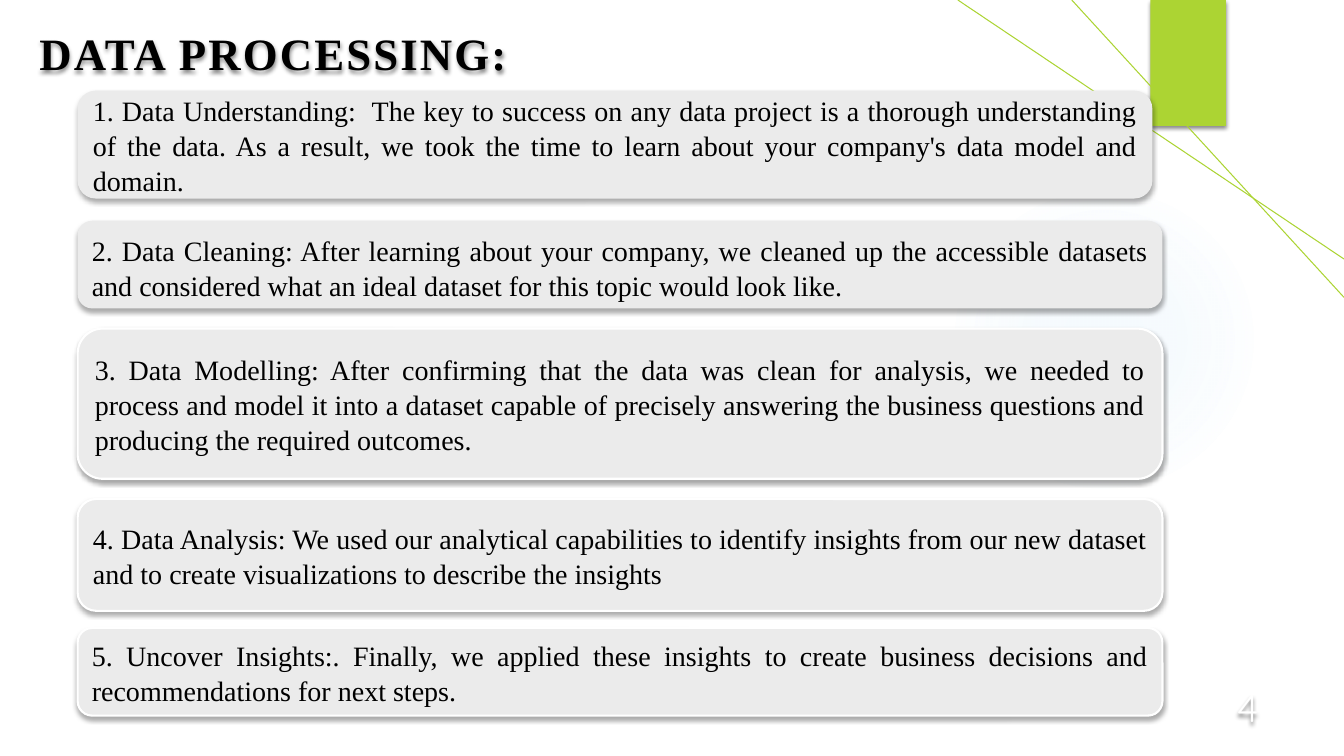
"""Build the data processing slide."""
from dataclasses import dataclass

from lxml import etree
from pptx import Presentation
from pptx import util as u
from pptx.dml.color import RGBColor
from pptx.enum import shapes, text
from pptx.oxml import parse_xml
from pptx.oxml.ns import nsdecls, qn

PX = 9144
GREEN, GREY, WHITE, BLACK, GLOW = "ACD433", "EBEBEB", "FFFFFF", "000000", "7AC4F0"
SERIF = "Times New Roman"


@dataclass
class Step:
    """One card of the process."""
    top: int
    height: int
    words: str
    width: int = 1076
    border: bool = True
    drop: int = 0


@dataclass
class Shadow:
    """A shadow cast straight down, in percent and points."""
    opacity: int
    blur: float
    distance: float


STEPS = [
    Step(90, 107, "1. Data Understanding:  The key to success on any data project is a thorough "
         "understanding of the data. As a result, we took the time to learn about your company's "
         "data model and domain.", width=1066, border=False),
    Step(219, 87, "2. Data Cleaning: After learning about your company, we cleaned up the "
         "accessible datasets and considered what an ideal dataset for this topic would look "
         "like.", border=False, drop=5),
    Step(326, 149, "3. Data Modelling: After confirming that the data was clean for analysis, we "
         "needed to process and model it into a dataset capable of precisely answering the "
         "business questions and producing the required outcomes."),
    Step(495, 111, "4. Data Analysis: We used our analytical capabilities to identify insights "
         "from our new dataset and to create visualizations to describe the insights"),
    Step(623, 87, "5. Uncover Insights:. Finally, we applied these insights to create business "
         "decisions and recommendations for next steps."),
]
RAYS = [(950, 0, 1333, 257), (1063, 0, 1333, 295)]
CARD_SHADOW = Shadow(32, 3.5, 2.2)
BLOCK_SHADOW = Shadow(45, 3, 2)
TEXT_SHADOW = Shadow(45, 3, 2)


def px(*lengths: int) -> list[int]:
    """Turn px into EMU."""
    return [length * PX for length in lengths]


def colour(code: str) -> RGBColor:
    """Turn a hex string into a colour."""
    return RGBColor.from_string(code)


def cast(shape, shadow: Shadow) -> None:
    """Give a shape its shadow."""
    shape.shadow.inherit = False
    effects = shape._element.spPr.find(qn("a:effectLst"))
    effects.append(parse_xml(
        f'<a:outerShdw {nsdecls("a")} blurRad="{int(shadow.blur * 12700)}" '
        f'dist="{int(shadow.distance * 12700)}" dir="5400000" algn="t" rotWithShape="0">'
        f'<a:srgbClr val="{BLACK}"><a:alpha val="{shadow.opacity * 1000}"/></a:srgbClr>'
        '</a:outerShdw>'))


def add_block(page, kind, place: tuple[int, ...], fill: str):
    """Add a filled shape without an outline or shadow."""
    block = page.shapes.add_shape(kind, *px(*place))
    block.fill.solid()
    block.fill.fore_color.rgb = colour(fill)
    block.line.fill.background()
    block.shadow.inherit = False
    return block


def write(shape, words: str, size: int, font: str, ink: str, align) -> None:
    """Put one formatted paragraph into a shape."""
    para = shape.text_frame.paragraphs[0]
    para.text = words
    para.alignment = align
    para.font.size = u.Pt(size)
    para.font.name = font
    para.font.color.rgb = colour(ink)


def add_glow(page) -> None:
    """Add the faint round glow."""
    glow = add_block(page, shapes.MSO_SHAPE.OVAL, (941, 183, 308, 308), GLOW)
    stops = "".join(
        f'<a:gs pos="{place * 1000}"><a:srgbClr val="{GLOW}"><a:alpha val="{alpha * 1000}"/>'
        '</a:srgbClr></a:gs>' for place, alpha in [(0, 7), (36, 6), (69, 0), (100, 0)])
    solid = glow._element.spPr.find(qn("a:solidFill"))
    solid.getparent().replace(solid, parse_xml(
        f'<a:gradFill {nsdecls("a")} rotWithShape="1"><a:gsLst>{stops}</a:gsLst><a:path '
        'path="circle"><a:fillToRect l="50000" t="50000" r="50000" b="50000"/></a:path>'
        '</a:gradFill>'))


def add_ray(page, ends: tuple[int, ...]) -> None:
    """Add a thin green line."""
    ray = page.shapes.add_connector(shapes.MSO_CONNECTOR.STRAIGHT, *px(*ends))
    ray.line.color.rgb = colour(GREEN)
    ray.line.width = u.Pt(0.75)
    etree.SubElement(ray._element.spPr, qn("a:effectLst"))


def set_title(page) -> None:
    """Place and format the title."""
    title = page.shapes.title
    title.left, title.top, title.width, title.height = px(29, 20, 491, 63)
    write(title, "DATA PROCESSING:", 32, SERIF, BLACK, text.PP_ALIGN.LEFT)
    title.text_frame.word_wrap = False
    title.text_frame.vertical_anchor = text.MSO_ANCHOR.TOP
    span = title.text_frame.paragraphs[0].runs[0]
    span.font.bold = True
    span._r.get_or_add_rPr().set("spc", "150")
    cast(title, TEXT_SHADOW)


def add_number(page) -> None:
    """Add the page number."""
    box = page.shapes.add_textbox(*px(1216, 690, 43, 40))
    box.text_frame.vertical_anchor = text.MSO_ANCHOR.BOTTOM
    write(box, "4", 28, "Quicksand", WHITE, text.PP_ALIGN.CENTER)
    cast(box, TEXT_SHADOW)


def add_step(page, step: Step) -> None:
    """Add one card of the process."""
    card = add_block(page, shapes.MSO_SHAPE.ROUNDED_RECTANGLE,
                     (77, step.top, step.width, step.height), GREY)
    if step.border:
        card.line.color.rgb = colour(WHITE)
        card.line.width = u.Pt(1.5)
    cast(card, CARD_SHADOW)
    frame = card.text_frame
    frame.word_wrap = True
    frame.vertical_anchor = text.MSO_ANCHOR.MIDDLE
    frame.margin_top, frame.margin_bottom = px(step.drop, 0)
    write(card, step.words, 20, SERIF, BLACK, text.PP_ALIGN.JUSTIFY)
    frame.paragraphs[0].line_spacing = 1.04


def main() -> None:
    """Build and save the deck."""
    deck = Presentation()
    deck.slide_width, deck.slide_height = px(1333, 750)
    page = deck.slides.add_slide(deck.slide_layouts[5])
    add_glow(page)
    cast(add_block(page, shapes.MSO_SHAPE.RECTANGLE, (1141, 0, 75, 125), GREEN), BLOCK_SHADOW)
    for ends in RAYS:
        add_ray(page, ends)
    set_title(page)
    add_number(page)
    for step in STEPS:
        add_step(page, step)
    deck.save("out.pptx")


if __name__ == "__main__":
    main()
